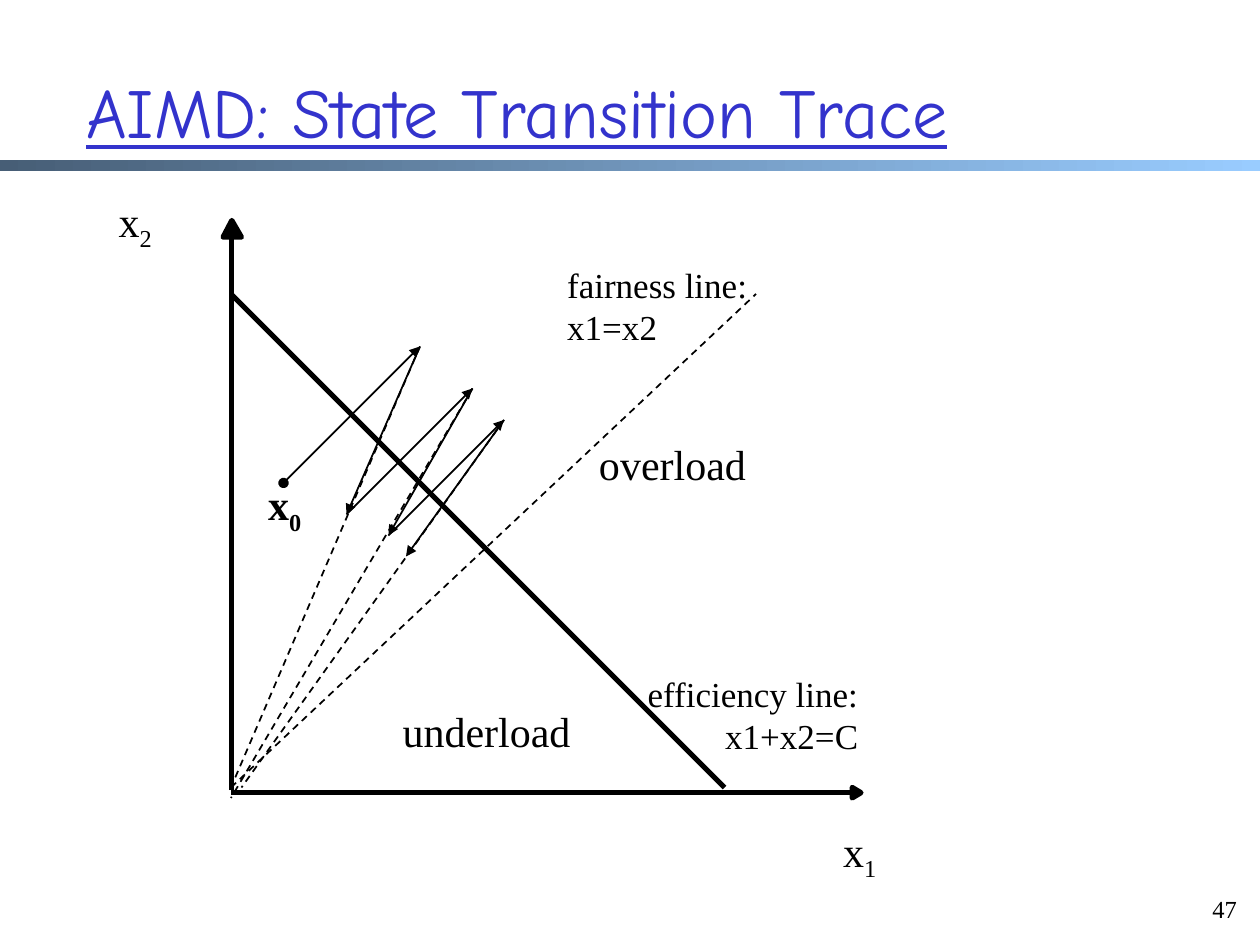
from typing import NamedTuple

from lxml import etree
from pptx import Presentation
from pptx.dml.color import RGBColor
from pptx.enum.dml import MSO_LINE
from pptx.enum.shapes import MSO_CONNECTOR, MSO_SHAPE
from pptx.enum.text import MSO_ANCHOR, MSO_AUTO_SIZE, PP_ALIGN
from pptx.oxml.ns import qn
from pptx.util import Pt

BLACK = RGBColor(0x00, 0x00, 0x00)
TITLE = RGBColor(0x33, 0x33, 0xCC)
DARK = RGBColor(0x47, 0x5E, 0x76)
LIGHT = RGBColor(0x99, 0xCC, 0xFF)
SERIF = "Times New Roman"
HAND = "Comic Neue"
LEFT, MID, RIGHT = PP_ALIGN.LEFT, PP_ALIGN.CENTER, PP_ALIGN.RIGHT
DASH = MSO_LINE.DASH
STRAIGHT = MSO_CONNECTOR.STRAIGHT
RECT = MSO_SHAPE.RECTANGLE

Point = tuple[float, float]


class Line(NamedTuple):
    start: Point
    end: Point
    width: float = 1
    dash: bool = False
    head: str = ""
    tail: str = ""


class Label(NamedTuple):
    text: str
    box: tuple[float, float, float, float]
    size: float = 24
    align: PP_ALIGN = MID
    sub: str = ""
    bold: bool = False
    wrap: bool = False


def write(frame, text: str, *, size: float, font: str = SERIF,
          color: RGBColor = BLACK, align: PP_ALIGN = LEFT, sub: str = "",
          bold: bool = False, under: bool = False, wrap: bool = True) -> None:
    """Fill a text frame; sub is set as a subscript after the text."""
    frame.word_wrap = wrap
    frame.auto_size = MSO_AUTO_SIZE.NONE
    para = frame.paragraphs[0]
    para.alignment = align
    para.text = text
    if sub:
        run = para.add_run()
        run.text = sub
        run.font._element.set("baseline", "-25000")
    for run in para.runs:
        run.font.size = Pt(size)
        run.font.name = font
        run.font.color.rgb = color
        run.font.bold = bold
        run.font.underline = under


def draw(shapes, item: Line) -> None:
    ends = [Pt(v) for v in item.start + item.end]
    link = shapes.add_connector(STRAIGHT, *ends)
    link.line.color.rgb = BLACK
    link.line.width = Pt(item.width)
    if item.dash:
        link.line.dash_style = DASH
    props = link._element.spPr
    stroke = props.find(qn("a:ln"))
    for tag, kind in (("a:headEnd", item.head), ("a:tailEnd", item.tail)):
        if kind:
            etree.SubElement(stroke, qn(tag), type=kind)
    etree.SubElement(props, qn("a:effectLst"))


def tip(shapes, points: list[Point]) -> None:
    """Draw a solid axis arrowhead."""
    first, *rest = [(Pt(x), Pt(y)) for x, y in points]
    pen = shapes.build_freeform(*first)
    pen.add_line_segments(rest, close=True)
    head = pen.convert_to_shape()
    head.shadow.inherit = False
    head.fill.solid()
    head.fill.fore_color.rgb = BLACK
    head.line.color.rgb = BLACK
    head.line.width = Pt(3)


def label(shapes, item: Label) -> None:
    box = shapes.add_textbox(*[Pt(v) for v in item.box])
    write(box.text_frame, item.text, size=item.size, align=item.align,
          sub=item.sub, bold=item.bold, wrap=item.wrap)


# Trace: each overload peak falls back towards the origin
START = (162, 276)
PEAKS = [(240, 198), (270, 222), (288, 240)]
LOWS = [(198, 294), (222, 306), (232, 318)]
FEET = [(132, 450), (132, 456), (138, 450)]

LINES = [
    Line((132, 453), (488, 453), 3),
    Line((132.5, 451.5), (132.5, 132.5), 3),
    Line((132, 168), (414, 450), 3),
    Line((132, 450), (432, 168), dash=True),
]
for step, (peak, low, foot) in enumerate(zip(PEAKS, LOWS, FEET)):
    origin = LOWS[step - 1] if step else START
    LINES += [
        Line(origin, peak, head="" if step else "oval", tail="triangle"),
        Line(peak, foot, dash=True),
        Line(peak, low, tail="triangle"),
    ]

TIPS = [
    [(487, 456), (492, 453), (487, 450)],
    [(138, 135.5), (132.5, 126), (127.5, 135.5)],
]

LABELS = [
    Label("x", (474, 468, 34.5, 36), sub="1"),
    Label("x", (60, 108, 34.5, 36), sub="2"),
    Label("x", (145.5, 270, 34.5, 36), sub="0", bold=True),
    Label("fairness line:\vx1=x2", (317, 147, 147.5, 55.5), 20, LEFT, wrap=True),
    Label("efficiency line: x1+x2=C", (347, 381, 150.5, 55.5), 20, RIGHT, wrap=True),
    Label("overload", (335, 247, 98.5, 36)),
    Label("underload", (223, 399.5, 110, 36)),
    Label("47", (681, 507.5, 33, 27.5), 14, RIGHT, wrap=True),
]


def main() -> None:
    deck = Presentation()
    deck.slide_width, deck.slide_height = Pt(720), Pt(540)
    slide = deck.slides.add_slide(deck.slide_layouts[5])
    shapes = slide.shapes

    # Title and the bar beneath it
    title = shapes.title
    title.left, title.top, title.width, title.height = Pt(42), Pt(18), Pt(612), Pt(90)
    title.text_frame.vertical_anchor = MSO_ANCHOR.MIDDLE
    write(title.text_frame, "AIMD: State Transition Trace", size=40,
          font=HAND, color=TITLE, under=True)

    bar = shapes.add_shape(RECT, 0, Pt(91.5), Pt(720), Pt(6))
    bar.shadow.inherit = False
    bar.line.fill.background()
    bar.fill.gradient()
    bar.fill.gradient_angle = 0
    for stop, color, place in zip(bar.fill.gradient_stops, (DARK, LIGHT), (0, 1)):
        stop.color.rgb = color
        stop.position = place

    # Diagram
    for item in LINES:
        draw(shapes, item)
    for points in TIPS:
        tip(shapes, points)
    for item in LABELS:
        label(shapes, item)

    deck.save("out.pptx")


if __name__ == "__main__":
    main()
